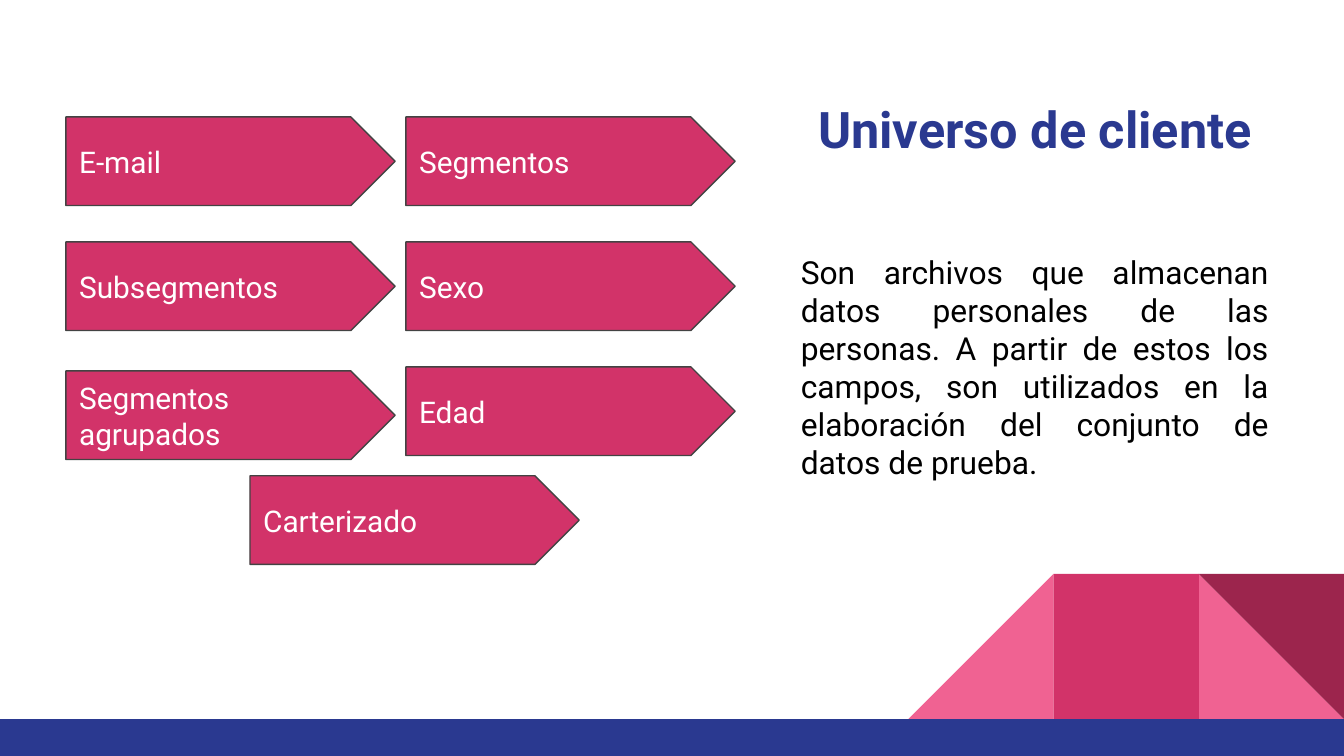
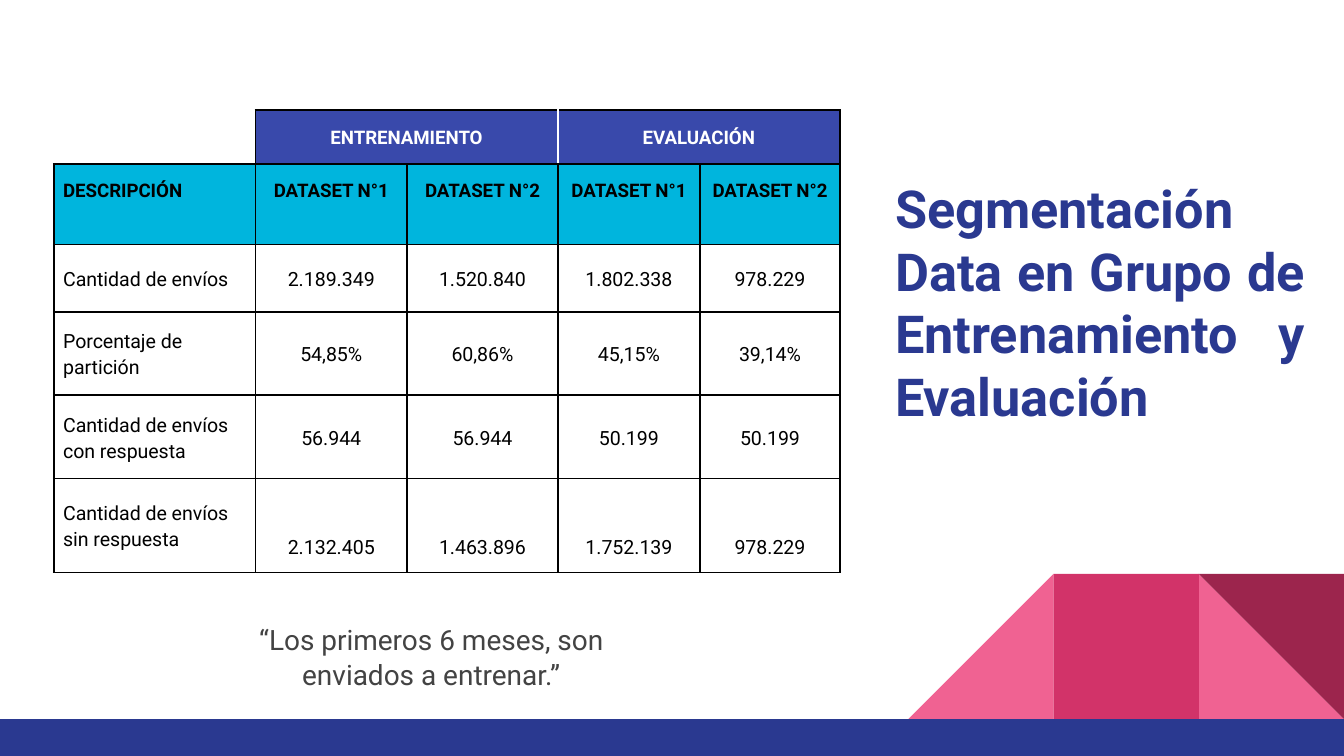
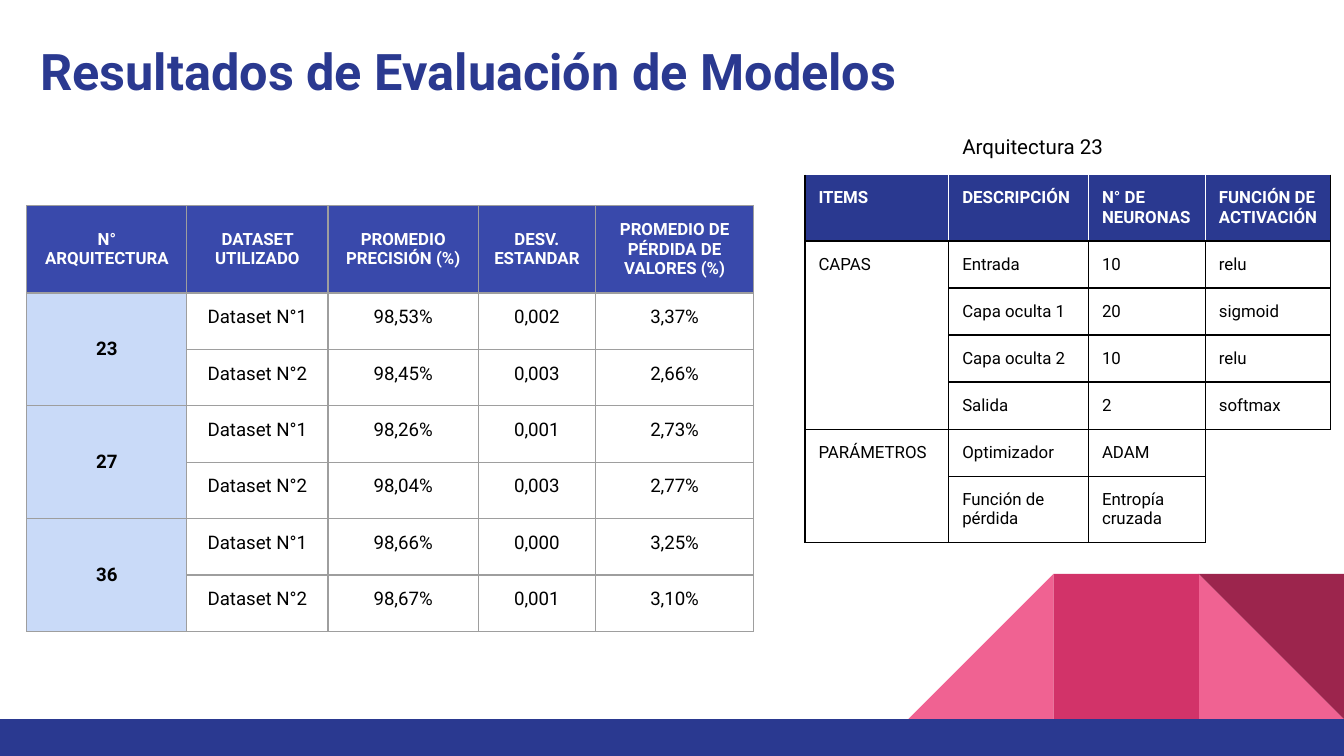
from dataclasses import dataclass, replace

from lxml import etree
from pptx import Presentation
from pptx.dml.color import RGBColor
from pptx.enum.shapes import MSO_SHAPE
from pptx.enum.text import MSO_ANCHOR, MSO_AUTO_SIZE, PP_ALIGN
from pptx.oxml.ns import qn
from pptx.util import Inches, Pt

BLACK = RGBColor(0x00, 0x00, 0x00)
WHITE = RGBColor(0xFF, 0xFF, 0xFF)
CHARCOAL = RGBColor(0x43, 0x43, 0x43)
GREY = RGBColor(0x9E, 0x9E, 0x9E)
NAVY = RGBColor(0x2A, 0x39, 0x90)
INDIGO = RGBColor(0x39, 0x49, 0xAB)
CYAN = RGBColor(0x00, 0xB5, 0xDD)
PALE_BLUE = RGBColor(0xC9, 0xDA, 0xF8)
PINK = RGBColor(0xF0, 0x62, 0x92)
MAGENTA = RGBColor(0xD2, 0x33, 0x69)
WINE = RGBColor(0x9C, 0x25, 0x4D)

LEFT, CENTER, JUSTIFY = PP_ALIGN.LEFT, PP_ALIGN.CENTER, PP_ALIGN.JUSTIFY
TOP, MIDDLE, BOTTOM = MSO_ANCHOR.TOP, MSO_ANCHOR.MIDDLE, MSO_ANCHOR.BOTTOM
NO_FIT = MSO_AUTO_SIZE.NONE
RECTANGLE, TRIANGLE = MSO_SHAPE.RECTANGLE, MSO_SHAPE.RIGHT_TRIANGLE
ARROW = MSO_SHAPE.PENTAGON

FONT = "Roboto"
PLAIN_TABLE = "{2D5ABB26-0587-4C30-8999-92F81FD0307C}"
TITLE_ONLY, TITLE_AND_BODY = 5, 1


@dataclass(frozen=True)
class Look:
    """Format of a piece of text and of the cell around it."""
    size: float
    color: RGBColor = BLACK
    bold: bool = False
    align: PP_ALIGN = LEFT
    anchor: MSO_ANCHOR = TOP
    spacing: float = 1.0
    fill: RGBColor = None
    side_inset: float = 0.1


def place(shape, box):
    """Move a shape to a box of left, top, width and height."""
    shape.left, shape.top, shape.width, shape.height = map(Inches, box)


def write(frame, text, look):
    """Write one formatted paragraph into a text frame."""
    para = frame.paragraphs[0]
    para.alignment = look.align
    para.line_spacing = look.spacing
    para.space_before = Pt(0)
    span = para.add_run()
    span.text = text
    span.font.name = FONT
    span.font.size = Pt(look.size)
    span.font.bold = look.bold
    span.font.color.rgb = look.color


def write_box(shape, text, look):
    """Set up the text frame of a shape and write into it."""
    frame = shape.text_frame
    frame.word_wrap = True
    frame.auto_size = NO_FIT
    frame.vertical_anchor = look.anchor
    frame.margin_left = frame.margin_right = Inches(0.1)
    frame.margin_top = frame.margin_bottom = Inches(0.1)
    write(frame, text, look)


def add_block(page, kind, box, fill, line=None):
    """Add a flat preset shape."""
    shape = page.shapes.add_shape(kind, *map(Inches, box))
    shape.shadow.inherit = False
    shape.fill.solid()
    shape.fill.fore_color.rgb = fill
    if line is None:
        shape.line.fill.background()
    else:
        shape.line.color.rgb = line
        shape.line.width = Pt(0.75)
    return shape


def decorate_master(deck, page):
    """Put the corner figure and the bottom band on the slide master."""
    side, top, right = 1.08, 4.27, 8.92
    near = add_block(page, TRIANGLE, (right, top, side, side), PINK)
    far = add_block(page, TRIANGLE, (right - 2 * side, top, side, side), PINK)
    far.element.spPr.find(qn("a:xfrm")).set("flipH", "1")
    square = add_block(page, RECTANGLE, (right - side, top, side, side), MAGENTA)
    corner = add_block(page, TRIANGLE, (right, top, side, side), WINE)
    corner.rotation = 180
    band = add_block(page, RECTANGLE, (0, 5.35, 10, 0.28), NAVY)
    tree = deck.slide_master.element.cSld.spTree
    for number, shape in enumerate((near, far, square, corner, band), 101):
        shape.element.nvSpPr.cNvPr.id = number
        tree.append(shape.element)


def add_page(deck, layout, title, box, align=LEFT, size=27):
    """Add a slide with its title."""
    page = deck.slides.add_slide(deck.slide_layouts[layout])
    place(page.shapes.title, box)
    write_box(page.shapes.title, title, Look(size, NAVY, True, align))
    return page


def draw_borders(cell, edges, width):
    """Draw the cell edges given as a mapping of side to colour."""
    properties = cell._tc.get_or_add_tcPr()
    for side in "LRTB":
        if side in edges:
            line = etree.SubElement(properties, qn(f"a:ln{side}"), w=str(Pt(width)))
            solid = etree.SubElement(line, qn("a:solidFill"))
            etree.SubElement(solid, qn("a:srgbClr"), val=str(edges[side]))


def write_cell(cell, text, look):
    """Fill one table cell, keeping an empty one as low as its row."""
    if look.fill is None:
        cell.fill.background()
    else:
        cell.fill.solid()
        cell.fill.fore_color.rgb = look.fill
    cell.vertical_anchor = look.anchor
    cell.margin_left = cell.margin_right = Inches(look.side_inset)
    cell.margin_top = cell.margin_bottom = Inches(0.1)
    if text:
        write(cell.text_frame, text, look)
    else:
        para = cell.text_frame.paragraphs[0]
        etree.SubElement(para._p, qn("a:endParaRPr"), sz=str(int(look.size * 100)))


def add_grid(page, corner, widths, heights, rows, look_at, line, weight,
             merges=(), seams=(), sides_at=None):
    """Add a table; seams are cells whose left edge is white."""
    sides_at = sides_at or {}
    holder = page.shapes.add_table(
        len(rows), len(widths), *map(Inches, (*corner, sum(widths), sum(heights))))
    holder.element.find(".//" + qn("a:tableStyleId")).text = PLAIN_TABLE
    table = holder.table
    table.first_row = table.horz_banding = False
    for column, width in zip(table.columns, widths):
        column.width = Inches(width)
    for row, height in zip(table.rows, heights):
        row.height = Inches(height)
    for first, last in merges:
        table.cell(*first).merge(table.cell(*last))
    for r, texts in enumerate(rows):
        for c, text in enumerate(texts):
            cell = table.cell(r, c)
            sides = "LRTB"
            if cell.is_spanned:
                sides = "LRB" if cell._tc.vMerge else "RTB"
            edges = {side: line for side in sides_at.get((r, c), sides)}
            if "L" in edges and (r, c) in seams:
                edges["L"] = WHITE
            if "R" in edges and (r, c + 1) in seams:
                edges["R"] = WHITE
            draw_borders(cell, edges, weight)
            write_cell(cell, text, look_at(r, c))


def add_field_arrow(page, label, left, top):
    """Add an arrow that names one field."""
    arrow = add_block(page, ARROW, (left, top, 2.45, 0.66), MAGENTA, CHARCOAL)
    write_box(arrow, label, Look(16, WHITE, anchor=MIDDLE))


def add_field_arrows(page, left, top):
    """Add the two columns of field arrows and the one below them."""
    step_x, step_y = 2.53, 0.93
    fields = {
        (0, 0): "E-mail", (0, 1): "Segmentos",
        (1, 0): "Subsegmentos", (1, 1): "Sexo",
        (2, 1): "Edad",
    }
    for (row, column), label in fields.items():
        add_field_arrow(page, label, left + column * step_x, top + row * step_y)
    add_field_arrow(page, "Segmentos agrupados", left, top + 1.89)
    add_field_arrow(page, "Carterizado", left + 1.37, top + 2.67)


def build_customers(deck):
    """Build the slide on customer fields."""
    page = add_page(deck, TITLE_ONLY, "Universo de cliente",
                    (5.6, 0.63, 4.2, 0.66), CENTER)
    decorate_master(deck, page)
    add_field_arrows(page, 0.49, 0.87)
    note = page.shapes.add_textbox(*map(Inches, (5.86, 1.78, 3.68, 1.92)))
    write_box(note, "Son archivos que almacenan datos personales de las personas. "
              "A partir de estos los campos, son utilizados en la elaboración "
              "del conjunto de datos de prueba.", Look(17, align=JUSTIFY))


def split_look(r, c):
    """Give the format of a cell in the data split table."""
    align = CENTER if c else LEFT
    header = Look(10, bold=True, align=align, spacing=1.15, side_inset=0.07)
    if r == 0:
        return replace(header, color=WHITE, fill=INDIGO if c else None)
    if r == 1:
        return replace(header, fill=CYAN)
    anchor = BOTTOM if r == 5 and c else MIDDLE
    return replace(header, size=10.5, bold=False, anchor=anchor)


def add_split_table(page, corner):
    """Add the table of training and evaluation data."""
    rows = [
        ("", "ENTRENAMIENTO", "", "EVALUACIÓN", ""),
        ("DESCRIPCIÓN", *("DATASET N°1", "DATASET N°2") * 2),
        ("Cantidad de envíos", "2.189.349", "1.520.840", "1.802.338", "978.229"),
        ("Porcentaje de partición", "54,85%", "60,86%", "45,15%", "39,14%"),
        ("Cantidad de envíos con respuesta", "56.944", "56.944", "50.199", "50.199"),
        ("Cantidad de envíos sin respuesta",
         "2.132.405", "1.463.896", "1.752.139", "978.229"),
    ]
    add_grid(page, corner, (1.5, 1.13, 1.12, 1.06, 1.04),
             (0.4, 0.6, 0.5, 0.62, 0.62, 0.7), rows, split_look, BLACK, 1,
             merges=[((0, 1), (0, 2)), ((0, 3), (0, 4))],
             seams=[(0, 3)], sides_at={(0, 0): "RB"})


def build_split(deck):
    """Build the slide on training and evaluation groups."""
    page = add_page(deck, TITLE_AND_BODY,
                    "Segmentación Data en Grupo de Entrenamiento y Evaluación",
                    (6.56, 1.21, 3.25, 2.2), JUSTIFY, 28)
    add_split_table(page, (0.4, 0.82))
    quote = page.placeholders[1]
    place(quote, (1.61, 4.52, 3.2, 0.94))
    properties = quote.text_frame.paragraphs[0]._p.get_or_add_pPr()
    properties.set("marL", "0")
    properties.set("indent", "0")
    etree.SubElement(properties, qn("a:buNone"))
    write_box(quote, "“Los primeros 6 meses, son enviados a entrenar.”",
              Look(15, CHARCOAL, align=CENTER, spacing=1.05))


def results_look(r, c):
    """Give the format of a cell in the results table."""
    if r == 0:
        return Look(9, WHITE, True, CENTER, MIDDLE, fill=INDIGO)
    if c == 0:
        return Look(10, BLACK, True, CENTER, MIDDLE, fill=PALE_BLUE)
    return Look(10, align=CENTER)


def add_results_table(page, corner):
    """Add the table of results by architecture and data set."""
    rows = [
        ("N° ARQUITECTURA", "DATASET UTILIZADO", "PROMEDIO PRECISIÓN (%)",
         "DESV. ESTANDAR", "PROMEDIO DE PÉRDIDA DE VALORES (%)"),
        ("23", "Dataset N°1", "98,53%", "0,002", "3,37%"),
        ("", "Dataset N°2", "98,45%", "0,003", "2,66%"),
        ("27", "Dataset N°1", "98,26%", "0,001", "2,73%"),
        ("", "Dataset N°2", "98,04%", "0,003", "2,77%"),
        ("36", "Dataset N°1", "98,66%", "0,000", "3,25%"),
        ("", "Dataset N°2", "98,67%", "0,001", "3,10%"),
    ]
    add_grid(page, corner, (1.19, 1.05, 1.12, 0.87, 1.18), (0.65, *[0.42] * 6),
             rows, results_look, GREY, 0.75,
             merges=[((r, 0), (r + 1, 0)) for r in (1, 3, 5)])


def architecture_look(r, c):
    """Give the format of a cell in the architecture table."""
    if r == 0:
        return Look(11)
    if r == 1:
        return Look(9, WHITE, True, fill=NAVY)
    return Look(9)


def add_architecture_table(page, corner):
    """Add the table of layers and parameters."""
    rows = [
        ("", "Arquitectura 23", "", ""),
        ("ITEMS", "DESCRIPCIÓN", "N° DE NEURONAS", "FUNCIÓN DE ACTIVACIÓN"),
        ("CAPAS", "Entrada", "10", "relu"),
        ("", "Capa oculta 1", "20", "sigmoid"),
        ("", "Capa oculta 2", "10", "relu"),
        ("", "Salida", "2", "softmax"),
        ("PARÁMETROS", "Optimizador", "ADAM", ""),
        ("", "Función de pérdida", "Entropía cruzada", ""),
    ]
    sides_at = {(0, c): "" for c in range(4)}
    sides_at |= {(1, c): "LRB" for c in range(4)}
    sides_at |= {(6, 3): "LT", (7, 3): "L"}
    add_grid(page, corner, (1.07, 1.04, 0.87, 0.93),
             (0.38, 0.49, *[0.35] * 5, 0.49), rows, architecture_look, BLACK, 0.75,
             merges=[((0, 1), (0, 2)), ((2, 0), (5, 0)),
                     ((6, 0), (7, 0)), ((6, 3), (7, 3))],
             seams=[(1, c) for c in (1, 2, 3)], sides_at=sides_at)


def build_results(deck):
    """Build the slide on model results."""
    page = add_page(deck, TITLE_ONLY, "Resultados de Evaluación de Modelos",
                    (0.2, 0.2, 9.32, 0.66))
    add_results_table(page, (0.2, 1.53))
    add_architecture_table(page, (5.99, 0.91))


def main():
    """Build and save the deck."""
    deck = Presentation()
    deck.slide_width = Inches(10)
    deck.slide_height = deck.slide_width * 9 // 16
    build_customers(deck)
    build_split(deck)
    build_results(deck)
    deck.save("out.pptx")


if __name__ == "__main__":
    main()
